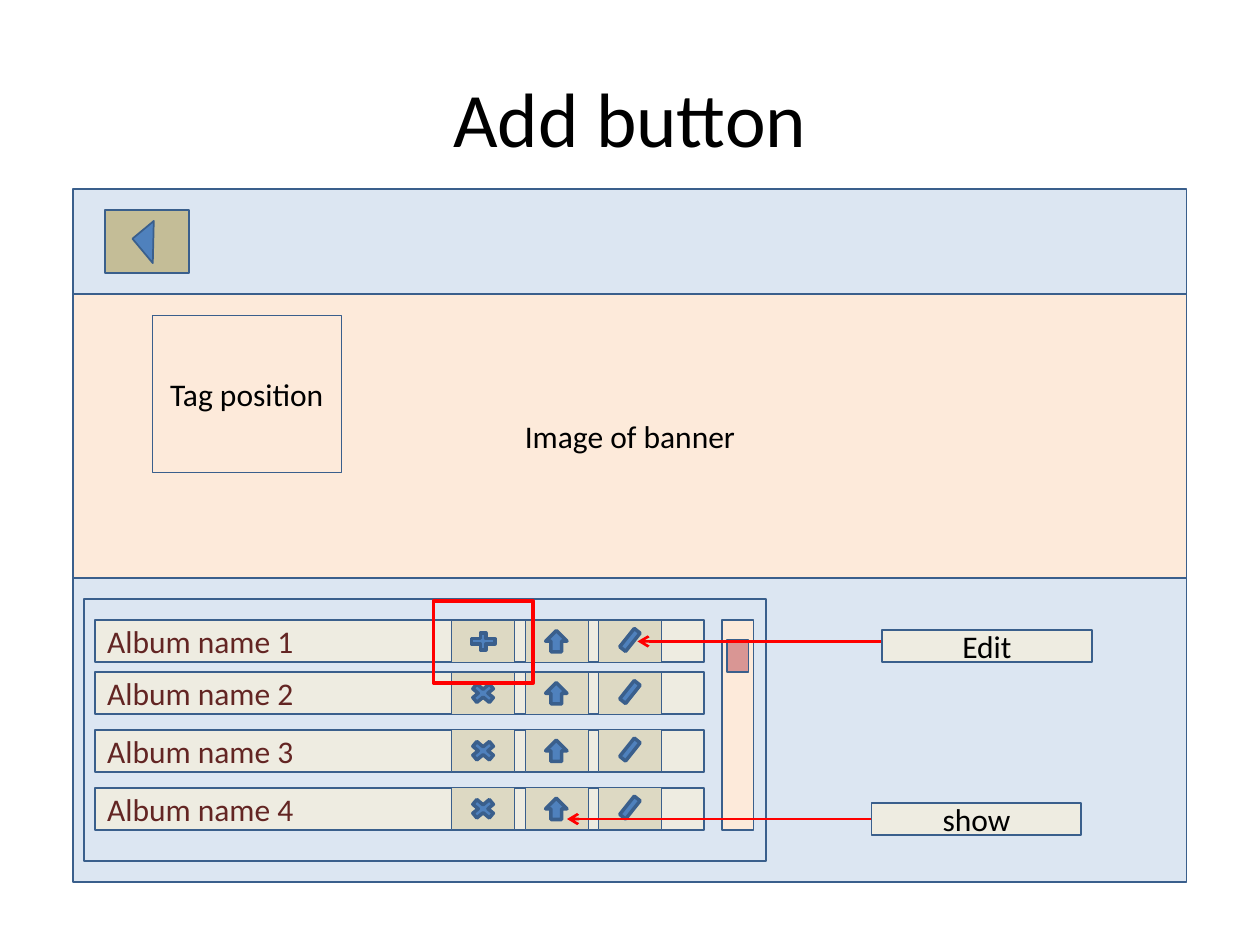
from lxml import etree
from pptx import Presentation, util as u
from pptx.dml.color import RGBColor
from pptx.enum import shapes, text
from pptx.oxml.ns import qn

C = {
    "line": "3A5F8C", "panel": "DCE6F2", "banner": "FDEADA", "row": "EEECE1",
    "button": "DDD9C3", "back": "C4BD97", "icon": "4F81BD", "thumb": "D99694",
    "album": "632523", "black": "000000", "red": "FF0000",
}
M = shapes.MSO_SHAPE
A = text.PP_ALIGN


def shape(box, fill, kind=M.RECTANGLE, weight=1, line="line", rot=0,
          label="", color="black", align=A.CENTER):
    sp = s.shapes.add_shape(kind, *[u.Cm(v) for v in box])
    sp.shadow.inherit = False
    sp.rotation = rot
    if fill:
        sp.fill.solid()
        sp.fill.fore_color.rgb = RGBColor.from_string(C[fill])
    else:
        sp.fill.background()
    sp.line.color.rgb = RGBColor.from_string(C[line])
    sp.line.width = u.Pt(weight)
    if label:
        tf = sp.text_frame
        tf.vertical_anchor = text.MSO_ANCHOR.MIDDLE
        p = tf.paragraphs[0]
        p.text = label
        p.alignment = align
        p.font.size = u.Pt(18)
        p.font.name = "Calibri"
        p.font.color.rgb = RGBColor.from_string(C[color])


prs = Presentation()
prs.slide_width, prs.slide_height = u.Cm(25.4), u.Cm(19.05)
s = prs.slides.add_slide(prs.slide_layouts[5])

title = s.shapes.title
title.left, title.top = u.Cm(1.27), u.Cm(0.76)
title.width, title.height = u.Cm(22.86), u.Cm(3.18)
tf = title.text_frame
tf.vertical_anchor = text.MSO_ANCHOR.MIDDLE
p = tf.paragraphs[0]
p.text = "Add button"
p.alignment = A.CENTER
p.font.size = u.Pt(44)
p.font.name = "Calibri"
p.font.color.rgb = RGBColor.from_string(C["black"])

shape((1.48, 3.81, 22.44, 13.97), "panel")
shape((2.12, 4.23, 1.69, 1.27), "back")
shape((2.77, 4.6, 0.64, 0.56), "icon", M.RIGHT_TRIANGLE, rot=50.2)
shape((1.48, 5.93, 22.44, 5.72), "banner", label="Image of banner")
shape((3.07, 6.35, 3.81, 3.18), "banner", weight=0.25, label="Tag position")
shape((1.69, 12.07, 13.76, 5.29), "panel")
shape((14.55, 12.5, 0.64, 4.23), "banner")
shape((14.66, 12.91, 0.43, 0.64), "thumb")

for i, top in enumerate((12.5, 13.55, 14.71, 15.88), 1):
    shape((1.91, top, 12.28, 0.85), "row", label=f"Album name {i}",
          color="album", align=A.LEFT)
    for left in (9.1, 10.59, 12.06):
        shape((left, top, 1.27, 0.85), "button", weight=0.5)
    if i == 1:
        shape((9.42, top + 0.2, 0.64, 0.46), "icon", M.MATH_PLUS, 2)
    else:
        shape((9.42, top + 0.16, 0.64, 0.53), "icon", M.MATH_MULTIPLY, 2)
    shape((11, top + 0.21, 0.43, 0.43), "icon", M.RIGHT_ARROW, 2, rot=270)
    shape((12.38, top + 0.08, 0.64, 0.64), "icon", M.MATH_MINUS, 2, rot=308.5)

for label, left, top, tip, y in (("Edit", 17.78, 12.7, 12.85, 12.93),
                                 ("show", 17.57, 16.19, 11.43, 16.51)):
    cx = s.shapes.add_connector(shapes.MSO_CONNECTOR.STRAIGHT,
                                u.Cm(left), u.Cm(y), u.Cm(tip), u.Cm(y))
    cx.line.color.rgb = RGBColor.from_string(C["red"])
    cx.line.width = u.Pt(1.5)
    etree.SubElement(cx.line._get_or_add_ln(), qn("a:tailEnd"), type="arrow")
    etree.SubElement(cx._element.spPr, qn("a:effectLst"))
    shape((left, top, 4.23, 0.64), "row", label=label)

shape((8.74, 12.12, 2.01, 1.65), None, weight=2, line="red")

prs.save("out.pptx")
